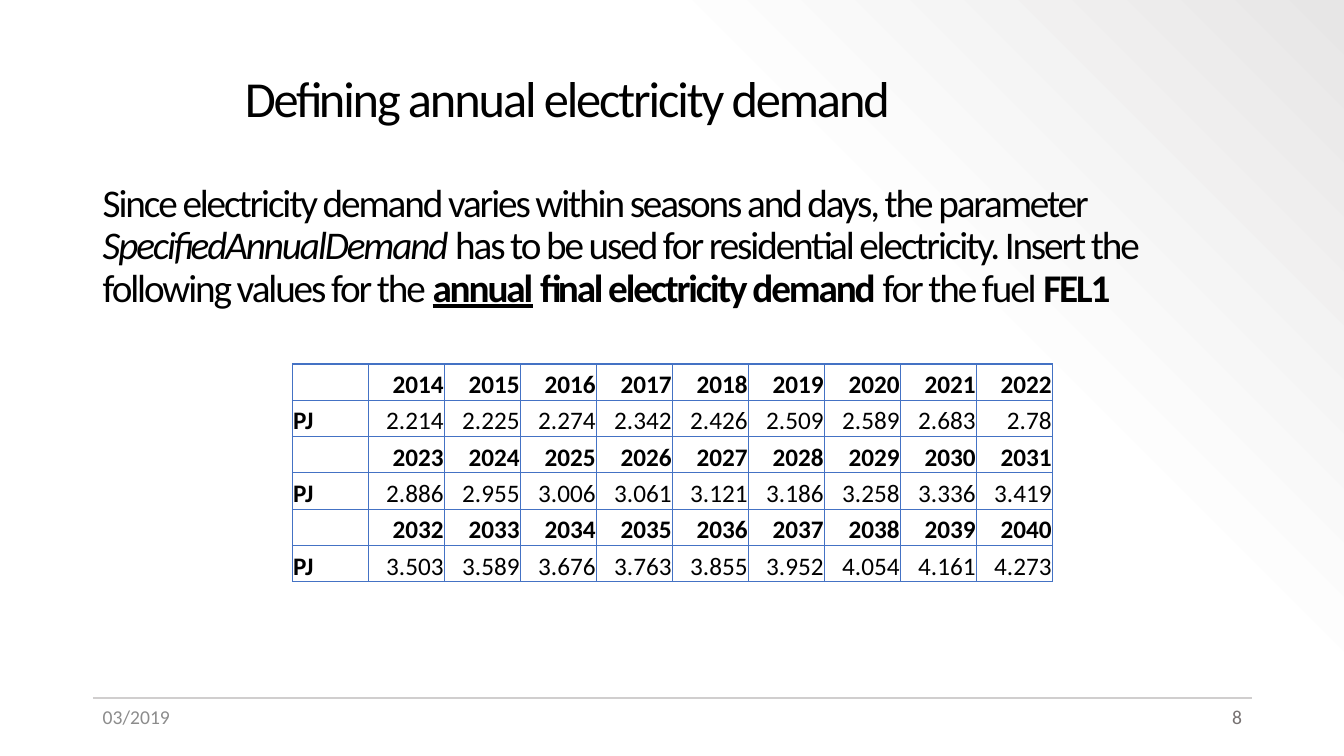
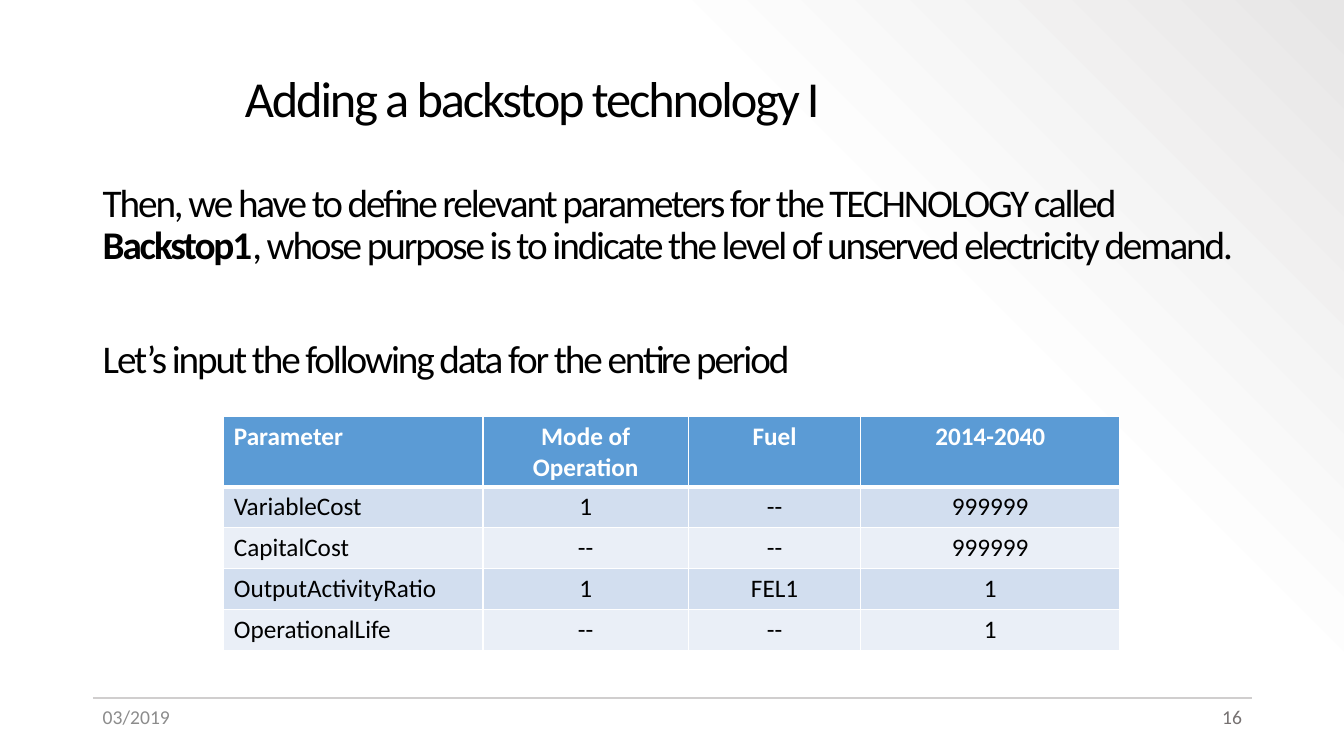
import pptx
import pptx.dml.color
import pptx.enum.shapes
import pptx.enum.text
import pptx.oxml
import pptx.oxml.ns
import pptx.util
from lxml import etree

Cm = pptx.util.Cm
Pt = pptx.util.Pt
qn = pptx.oxml.ns.qn
ALIGN = pptx.enum.text.PP_ALIGN
ANCHOR = pptx.enum.text.MSO_ANCHOR

BOLD = {"bold": True}
ITALIC = {"italic": True}
BOLD_UNDERLINE = {"bold": True, "underline": True}


def color(value):
    return pptx.dml.color.RGBColor.from_string(value)


def apply(target, values):
    for name, value in values.items():
        setattr(target, name, value)


class Slides:
    """Holds the shared style and the page being built."""

    FONT = "Calibri"
    BLACK, WHITE = "000000", "FFFFFF"
    RULE, DATE, NUMBER = "D0CECE", "8C8C8C", "767171"
    GRID, HEADER, BANDS = "4472C4", "5B9BD5", ("D2DEEF", "EAEFF7")
    BACKGROUND = ((0, "FFFFFF", 100), (69, "FDFDFD", 100), (100, "E7E6E6", 50))
    LEFT, RIGHT = 2.34, 31.55

    def __init__(self):
        self.deck = pptx.Presentation()
        apply(self.deck, {"slide_width": Cm(33.87), "slide_height": Cm(19.05)})
        self.page = None
        self.set_background()

    # Shared gradient, light grey towards the top right corner
    def set_background(self):
        master = self.deck.slide_master
        fill = master.background.fill
        fill.gradient()
        fill.gradient_angle = 45
        stops = master.element.find(".//" + qn("p:bg")).find(".//" + qn("a:gsLst"))
        for stop in list(stops):
            stops.remove(stop)
        for position, value, opacity in self.BACKGROUND:
            stop = etree.SubElement(stops, qn("a:gs"), pos=str(position * 1000))
            shade = etree.SubElement(stop, qn("a:srgbClr"), val=value)
            if opacity < 100:
                etree.SubElement(shade, qn("a:alpha"), val=str(opacity * 1000))

    # New page with title, rule and footer
    def add_page(self, title, number):
        self.page = self.deck.slides.add_slide(self.deck.slide_layouts[6])
        self.add_text((5.92, 1.02, 25.6, 3.05), [[(title, {})]], 36,
                      tight=True, anchor=ANCHOR.MIDDLE)
        self.add_rule(17.58)
        width = 3.3
        self.add_text((self.LEFT, 17.65, width, 1.02), [[("03/2019", {})]], 14, self.DATE)
        self.add_text((self.RIGHT - width, 17.65, width, 1.02), [[(str(number), {})]], 14,
                      self.NUMBER, align=ALIGN.RIGHT)

    def add_rule(self, top):
        rule = self.page.shapes.add_connector(
            pptx.enum.shapes.MSO_CONNECTOR.STRAIGHT,
            Cm(self.LEFT), Cm(top), Cm(self.RIGHT), Cm(top))
        rule.line.color.rgb = color(self.RULE)
        rule.line.width = Pt(1.5)
        etree.SubElement(rule._element.spPr, qn("a:effectLst"))

    def add_span(self, para, text, size, shade, formats, tight=False):
        span = para.add_run()
        span.text = text
        apply(span.font, {"name": self.FONT, "size": Pt(size), **formats})
        span.font.color.rgb = color(shade)
        if tight:
            span._r.get_or_add_rPr().set("spc", "-150")

    def add_text(self, place, paras, size, shade=BLACK, tight=False,
                 align=ALIGN.LEFT, anchor=ANCHOR.TOP, gap=0):
        box = self.page.shapes.add_textbox(*map(Cm, place))
        frame = box.text_frame
        apply(frame, {"word_wrap": True, "vertical_anchor": anchor})
        for index, spans in enumerate(paras):
            para = frame.add_paragraph() if index else frame.paragraphs[0]
            para.alignment = align
            if tight:
                para.line_spacing = 0.9
            if index:
                para.space_before = Pt(gap)
            for text, formats in spans:
                self.add_span(para, text, size, shade, formats, tight)

    def add_body(self, *paras):
        self.add_text((self.LEFT, 4.5, self.RIGHT - self.LEFT, 12.65), paras, 28,
                      tight=True, gap=50.7)

    # Tables
    def add_table(self, left, top, widths, heights):
        frame = self.page.shapes.add_table(
            len(heights), len(widths), Cm(left), Cm(top), Cm(sum(widths)), Cm(sum(heights)))
        table = frame.table
        apply(table, {"first_row": False, "horz_banding": False})
        for column, width in zip(table.columns, widths):
            column.width = Cm(width)
        for row, height in zip(table.rows, heights):
            row.height = Cm(height)
        return table

    def fill_cell(self, cell, text, align, shade=BLACK, bold=False, fill=None):
        if fill:
            cell.fill.solid()
            cell.fill.fore_color.rgb = color(fill)
        else:
            cell.fill.background()
        para = cell.text_frame.paragraphs[0]
        para.alignment = align
        if text:
            self.add_span(para, text, 18, shade, {"bold": bold})

    def set_borders(self, cell, shade, top=1, bottom=1):
        edges = {"L": 1, "R": 1, "T": top, "B": bottom}
        properties = cell._tc.get_or_add_tcPr()
        for index, (side, width) in enumerate(edges.items()):
            line = etree.Element(qn("a:ln" + side), w=str(Pt(width)))
            fill = etree.SubElement(line, qn("a:solidFill"))
            etree.SubElement(fill, qn("a:srgbClr"), val=shade)
            properties.insert(index, line)

    def add_year_table(self, first_year, values, unit, per_row):
        rows = []
        for start in range(0, len(values), per_row):
            chunk = values[start:start + per_row]
            years = range(first_year + start, first_year + start + len(chunk))
            rows += [["", *map(str, years)], [unit, *chunk]]
        table = self.add_table(7.37, 9.17, [1.915] * (per_row + 1), [0.915] * len(rows))
        margins = {"margin_left": Cm(0.02), "margin_top": Cm(0.02),
                   "margin_right": Cm(0.02), "margin_bottom": 0,
                   "vertical_anchor": ANCHOR.BOTTOM}
        for r, row in enumerate(rows):
            for c, text in enumerate(row):
                cell = table.cell(r, c)
                apply(cell, margins)
                self.fill_cell(cell, text, ALIGN.RIGHT if c else ALIGN.LEFT,
                               bold=c == 0 or r % 2 == 0)
                self.set_borders(cell, self.GRID)

    def add_parameter_table(self, rows):
        heights = [1.78] + [1.03] * (len(rows) - 1)
        table = self.add_table(5.64, 10.49, [6.53, 5.18, 4.34, 6.53], heights)
        for r, row in enumerate(rows):
            header = r == 0
            for c, text in enumerate(row):
                cell = table.cell(r, c)
                self.fill_cell(cell, text, ALIGN.CENTER if c else ALIGN.LEFT,
                               self.WHITE if header else self.BLACK, header,
                               self.HEADER if header else self.BANDS[(r - 1) % 2])
                self.set_borders(cell, self.WHITE, top=3 if r == 1 else 1,
                                 bottom=3 if header else 1)


DEMAND = """2.214 2.225 2.274 2.342 2.426 2.509 2.589 2.683 2.78
2.886 2.955 3.006 3.061 3.121 3.186 3.258 3.336 3.419
3.503 3.589 3.676 3.763 3.855 3.952 4.054 4.161 4.273""".split()

PARAMETERS = [
    ("Parameter", "Mode of Operation", "Fuel", "2014-2040"),
    ("VariableCost", "1", "--", "999999"),
    ("CapitalCost", "--", "--", "999999"),
    ("OutputActivityRatio", "1", "FEL1", "1"),
    ("OperationalLife", "--", "--", "1"),
]


def main():
    slides = Slides()

    # Annual demand
    slides.add_page("Defining annual electricity demand", 8)
    slides.add_body([
        ("Since electricity demand varies within seasons and days, the parameter ", {}),
        ("SpecifiedAnnualDemand", ITALIC),
        (" has to be used for residential electricity. Insert the following values for the ", {}),
        ("annual", BOLD_UNDERLINE),
        (" final electricity demand", BOLD),
        (" for the fuel ", {}),
        ("FEL1", BOLD),
    ])
    slides.add_year_table(2014, DEMAND, "PJ", per_row=9)

    # Backstop technology
    slides.add_page("Adding a backstop technology I", 16)
    slides.add_body(
        [("Then, we have to define relevant parameters for the TECHNOLOGY called ", {}),
         ("Backstop1", BOLD),
         (", whose purpose is to indicate the level of unserved electricity demand.", {})],
        [("Let’s input the following data for the entire period", {})])
    slides.add_parameter_table(PARAMETERS)

    slides.deck.save("out.pptx")


if __name__ == "__main__":
    main()
